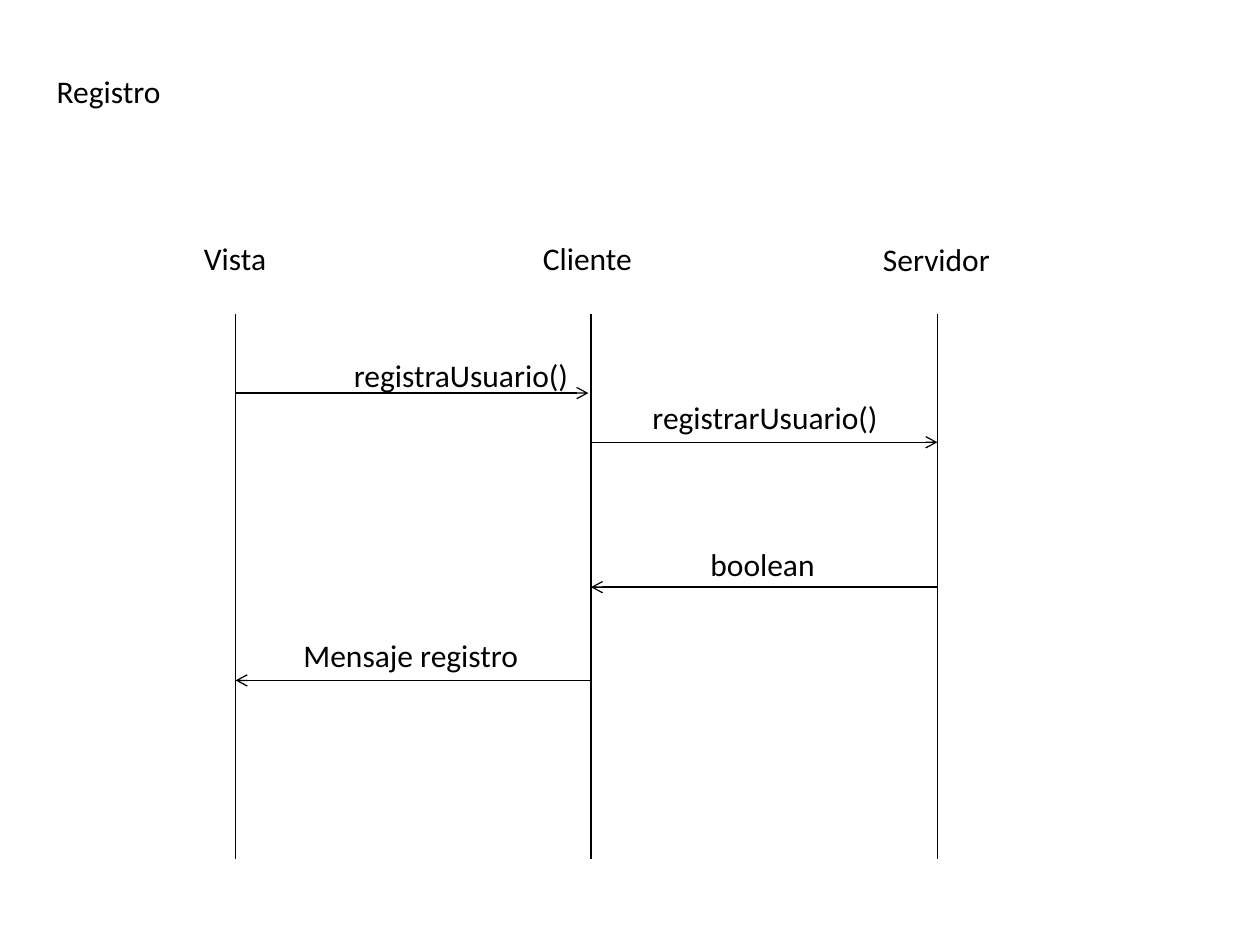
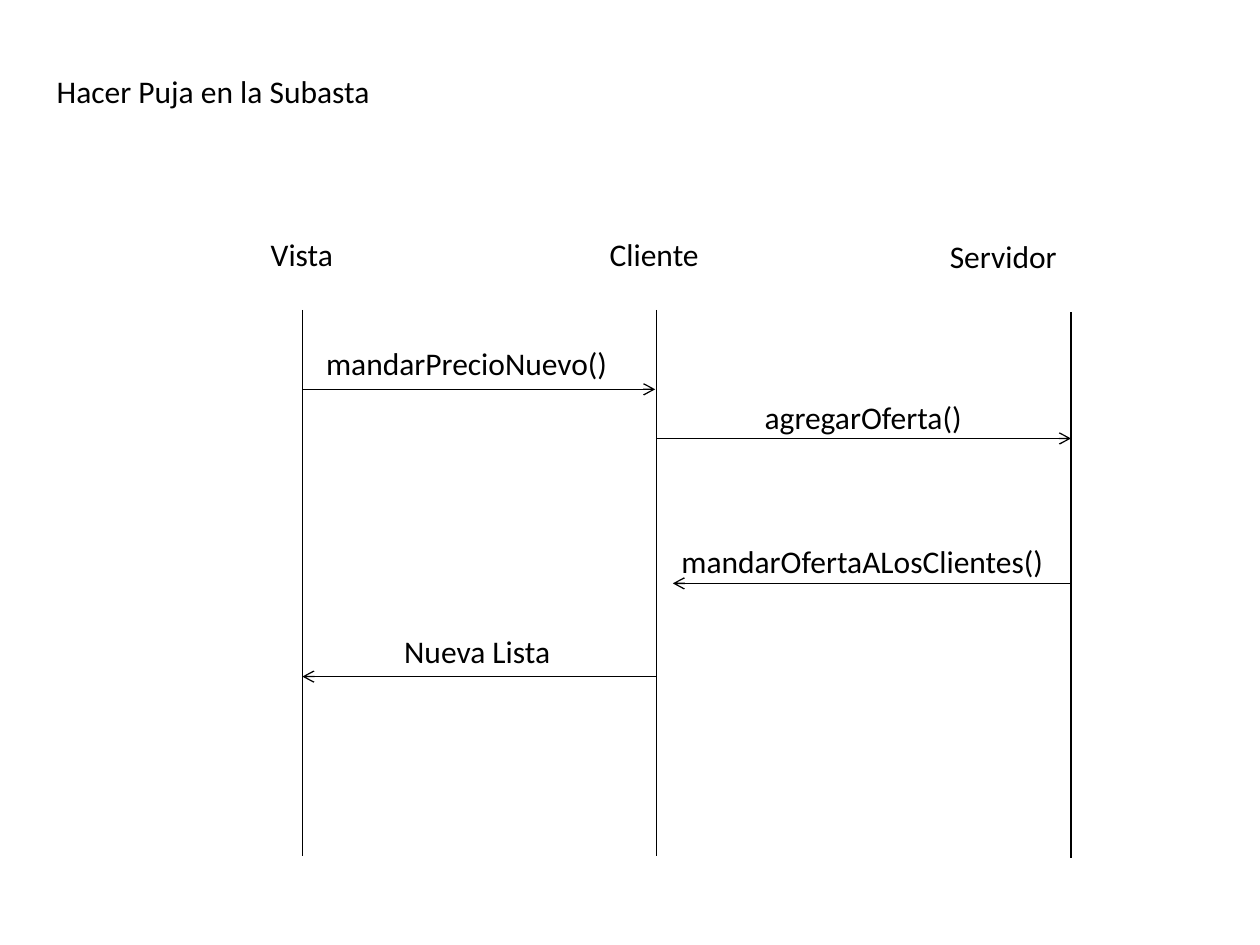
"""Two sequence diagrams: registering a user and bidding in the auction."""
import pptx
import pptx.util
import pptx.dml.color
import pptx.enum.shapes
import pptx.enum.text
import pptx.oxml.ns
from lxml import etree

Inches = pptx.util.Inches
BLACK = pptx.dml.color.RGBColor(0, 0, 0)
WHITE = pptx.dml.color.RGBColor(255, 255, 255)
FONT = "Calibri"
FONT_SIZE = 18
LINE_WIDTH = 0.75
TEXT_HEIGHT = 0.4
LIFELINE_LENGTH = 4.33
TITLE_LAYOUT = 5

# Participant: name, left and top of the name, its width, lifeline x and top.
# Message: text, left and top of the text, its width, arrow start x, end x, y.
DIAGRAMS = [
    {
        "title": ("Registro", 1.03),
        "participants": [
            ("Vista", 1.52, 1.85, 0.7, 1.87, 2.49),
            ("Cliente", 4.21, 1.85, 0.92, 4.69, 2.49),
            ("Servidor", 6.91, 1.86, 1.06, 7.44, 2.49),
        ],
        "messages": [
            ("registraUsuario()", 2.71, 2.78, 1.92, 1.87, 4.67, 3.12),
            ("registrarUsuario()", 5.08, 3.11, 2.01, 4.69, 7.44, 3.51),
            ("boolean", 5.54, 4.28, 1.04, 7.44, 4.69, 4.66),
            ("Mensaje registro", 2.31, 5, 1.92, 4.69, 1.87, 5.4),
        ],
    },
    {
        "title": ("Hacer Puja en la Subasta", 2.72),
        "participants": [
            ("Vista", 2.05, 1.82, 0.7, 2.4, 2.46),
            ("Cliente", 4.74, 1.82, 0.92, 5.21, 2.46),
            ("Servidor", 7.44, 1.83, 1.06, 8.5, 2.48),
        ],
        "messages": [
            ("mandarPrecioNuevo()", 2.49, 2.68, 2.46, 2.4, 5.2, 3.09),
            ("agregarOferta()", 5.97, 3.11, 1.78, 5.21, 8.5, 3.48),
            ("mandarOfertaALosClientes()", 5.31, 4.25, 3.1, 8.5, 5.34, 4.63),
            ("Nueva Lista", 3.11, 4.97, 1.37, 5.21, 2.4, 5.37),
        ],
    },
]


def write_text(shape, text):
    """Write one left-aligned line in the shared text style."""
    frame = shape.text_frame
    frame.word_wrap = False
    frame.auto_size = pptx.enum.text.MSO_AUTO_SIZE.SHAPE_TO_FIT_TEXT
    frame.vertical_anchor = pptx.enum.text.MSO_ANCHOR.TOP
    paragraph = frame.paragraphs[0]
    paragraph.alignment = pptx.enum.text.PP_ALIGN.LEFT
    run = paragraph.add_run()
    run.text = text
    run.font.name = FONT
    run.font.size = pptx.util.Pt(FONT_SIZE)
    run.font.color.rgb = BLACK


def add_title(slide, text, width):
    """Place the slide title at the top left."""
    title = slide.shapes.title
    title.left, title.top = Inches(0.35), Inches(0.52)
    title.width, title.height = Inches(width), Inches(TEXT_HEIGHT)
    write_text(title, text)


def add_label(slide, text, left, top, width):
    """Add a one-line text box."""
    box = slide.shapes.add_textbox(
        Inches(left), Inches(top), Inches(width), Inches(TEXT_HEIGHT))
    write_text(box, text)


def add_line(slide, start, end, arrow=False):
    """Add a thin black line, with an open arrowhead at its end if asked."""
    connector = slide.shapes.add_connector(
        pptx.enum.shapes.MSO_CONNECTOR.STRAIGHT,
        *(Inches(value) for value in (*start, *end)))
    connector.line.color.rgb = BLACK
    connector.line.width = pptx.util.Pt(LINE_WIDTH)
    qn = pptx.oxml.ns.qn
    properties = connector._element.spPr
    if arrow:
        outline = properties.find(qn("a:ln"))
        etree.SubElement(outline, qn("a:tailEnd"), type="arrow")
    etree.SubElement(properties, qn("a:effectLst"))


def add_participant(slide, name, left, top, width, line_x, line_top):
    """Add a participant's name and its lifeline."""
    add_line(slide, (line_x, line_top), (line_x, line_top + LIFELINE_LENGTH))
    add_label(slide, name, left, top, width)


def add_message(slide, text, left, top, width, start_x, end_x, y):
    """Add a message arrow and its text."""
    add_line(slide, (start_x, y), (end_x, y), arrow=True)
    add_label(slide, text, left, top, width)


def add_diagram(presentation, diagram):
    """Add a slide with one sequence diagram."""
    layout = presentation.slide_layouts[TITLE_LAYOUT]
    slide = presentation.slides.add_slide(layout)
    slide.background.fill.solid()
    slide.background.fill.fore_color.rgb = WHITE
    add_title(slide, *diagram["title"])
    for participant in diagram["participants"]:
        add_participant(slide, *participant)
    for message in diagram["messages"]:
        add_message(slide, *message)


def main():
    """Build and save the presentation."""
    presentation = pptx.Presentation()
    presentation.slide_width = Inches(10)
    presentation.slide_height = Inches(7.5)
    for diagram in DIAGRAMS:
        add_diagram(presentation, diagram)
    presentation.save("out.pptx")


main()
